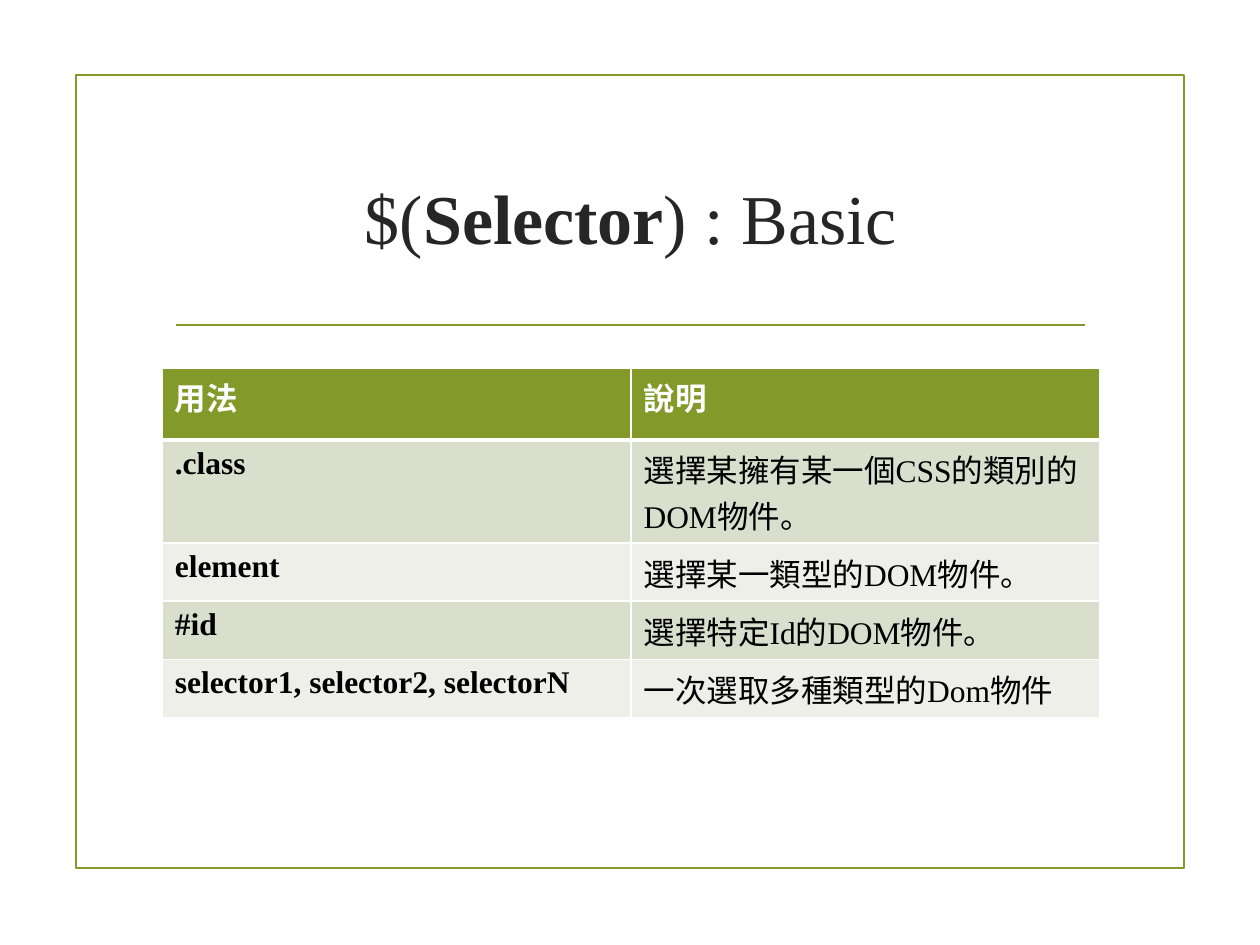
from dataclasses import dataclass
from typing import Any

from lxml import etree
from pptx import Presentation
from pptx import util as u
from pptx.dml import color
from pptx.enum import shapes, text
from pptx.oxml import ns

GREEN, WHITE, BLACK = "83992A", "FFFFFF", "000000"
BANDS = ("D9DECD", "EDEFE8")
ROWS = (
    ("用法", "說明"),
    (".class", "選擇某擁有某一個CSS的類別的DOM物件。"),
    ("element", "選擇某一類型的DOM物件。"),
    ("#id", "選擇特定Id的DOM物件。"),
    ("selector1, selector2, selectorN", "一次選取多種類型的Dom物件"),
)
ROW_HEIGHTS = (1.45, 2.08, 1.17, 1.17, 1.17)


def rgb(value):
    return color.RGBColor.from_string(value)


@dataclass
class SlideBuilder:
    """Draws styled elements on the current slide."""

    slide: Any
    font: str = "Times New Roman"
    accent: str = GREEN
    line_width: float = 1.25

    def style_font(self, font, size, hex_color, bold=None):
        font.name, font.size, font.bold = self.font, u.Pt(size), bold
        font.color.rgb = rgb(hex_color)

    def style_line(self, line):
        line.color.rgb = rgb(self.accent)
        line.width = u.Pt(self.line_width)

    def frame(self, left, top, width, height):
        shape = self.slide.shapes.add_shape(
            shapes.MSO_SHAPE.RECTANGLE, *map(u.Cm, (left, top, width, height)))
        shape.shadow.inherit = False
        shape.fill.background()
        self.style_line(shape.line)

    def rule(self, left, right, top):
        connector = self.slide.shapes.add_connector(
            shapes.MSO_CONNECTOR.STRAIGHT, *map(u.Cm, (left, top, right, top)))
        self.style_line(connector.line)
        etree.SubElement(connector._element.spPr, ns.qn("a:effectLst"))

    def title(self, left, top, width, height, runs):
        shape = self.slide.shapes.add_textbox(*map(u.Cm, (left, top, width, height)))
        frame = shape.text_frame
        frame.word_wrap = True
        frame.vertical_anchor = text.MSO_ANCHOR.MIDDLE
        paragraph = frame.paragraphs[0]
        paragraph.alignment = text.PP_ALIGN.CENTER
        for content, bold in runs:
            run = paragraph.add_run()
            run.text = content
            self.style_font(run.font, 40, "262626", bold)

    def borders(self, cell, widths):
        properties = cell._tc.get_or_add_tcPr()
        for index, (side, width) in enumerate(zip("LRTB", widths)):
            line = etree.Element(ns.qn(f"a:ln{side}"), w=str(u.Pt(width)))
            fill = etree.SubElement(line, ns.qn("a:solidFill"))
            etree.SubElement(fill, ns.qn("a:srgbClr"), val=WHITE)
            properties.insert(index, line)

    def table(self, left, top, width, rows, heights):
        graphic = self.slide.shapes.add_table(
            len(rows), len(rows[0]), *map(u.Cm, (left, top, width, sum(heights))))
        table = graphic.table
        for row_index, (row, height) in enumerate(zip(rows, heights)):
            table.rows[row_index].height = u.Cm(height)
            header = row_index == 0
            for column_index, content in enumerate(row):
                cell = table.cell(row_index, column_index)
                cell.text = content
                cell.fill.solid()
                cell.fill.fore_color.rgb = rgb(
                    self.accent if header else BANDS[(row_index - 1) % 2])
                self.style_font(cell.text_frame.paragraphs[0].font, 18,
                                WHITE if header else BLACK,
                                header or column_index == 0)
                self.borders(cell, (1, 1, 3 if row_index == 1 else 1, 3 if header else 1))


def main():
    presentation = Presentation()
    presentation.slide_width, presentation.slide_height = u.Cm(25.4), u.Cm(19.05)
    builder = SlideBuilder(presentation.slides.add_slide(presentation.slide_layouts[6]))
    builder.frame(1.54, 1.51, 22.33, 15.99)
    builder.rule(3.55, 21.87, 6.55)
    builder.title(3.27, 2.54, 18.9, 3.63,
                  (("$(", False), ("Selector", True), (") : Basic", False)))
    builder.table(3.27, 7.42, 18.9, ROWS, ROW_HEIGHTS)
    presentation.save("out.pptx")


if __name__ == "__main__":
    main()
